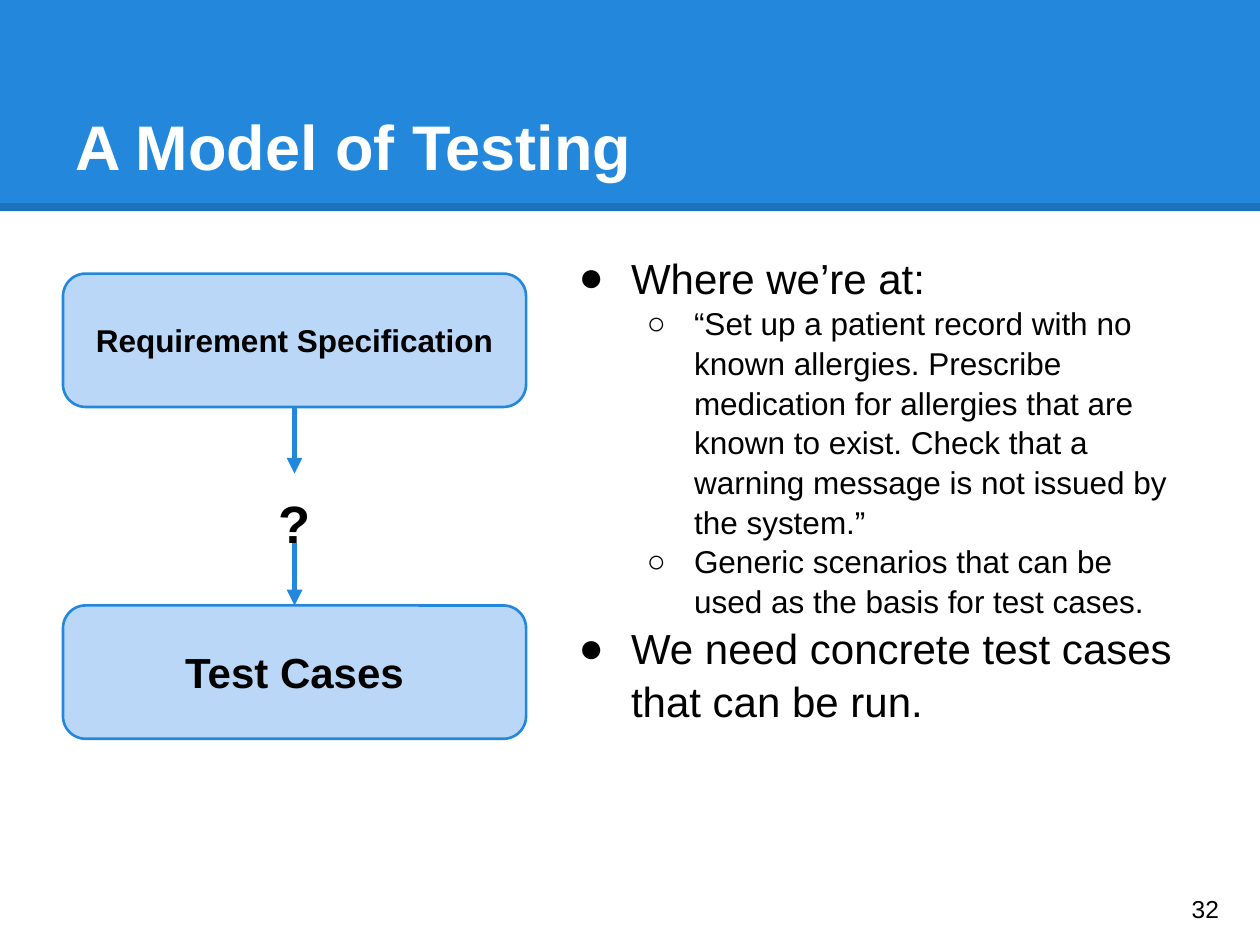
from dataclasses import dataclass
from typing import Optional

from lxml import etree
from pptx import Presentation
from pptx import util as u
from pptx.dml.color import RGBColor
from pptx.enum import shapes, text
from pptx.oxml.ns import qn


@dataclass(frozen=True)
class Theme:
    font: str = "Arial"
    blue: str = "2388DB"
    pale: str = "BBD7F8"
    ink: str = "000000"
    white: str = "FFFFFF"
    title: float = 36
    symbol: float = 30
    large: float = 24
    body: float = 18
    number: float = 14


@dataclass(frozen=True)
class Box:
    x: float
    y: float
    w: float
    h: float


@dataclass(frozen=True)
class Para:
    words: str
    size: float
    bold: bool = False
    color: str = "000000"
    align: text.PP_ALIGN = text.PP_ALIGN.LEFT
    level: int = 0
    bullet: Optional[str] = None
    spacing: float = 1.0


T = Theme()
TOP, MID, BOTTOM = (text.MSO_ANCHOR.TOP, text.MSO_ANCHOR.MIDDLE,
                    text.MSO_ANCHOR.BOTTOM)
CENTER = text.PP_ALIGN.CENTER


def rgb(value: str) -> RGBColor:
    return RGBColor.from_string(value)


def write(sp, paras: list[Para], anchor=TOP) -> None:
    tf = sp.text_frame
    tf.word_wrap = True
    tf.vertical_anchor = anchor
    tf.margin_left = tf.margin_right = u.Pt(7.2)
    tf.margin_top = tf.margin_bottom = u.Pt(7.2)
    for i, para in enumerate(paras):
        p = tf.add_paragraph() if i else tf.paragraphs[0]
        p.alignment = para.align
        p.level = para.level
        p.line_spacing = para.spacing
        if para.bullet:
            ppr = p._p.get_or_add_pPr()
            ppr.set("marL", str(u.Pt(36 * (para.level + 1))))
            ppr.set("indent", str(u.Pt(-27 if para.level else -30)))
            etree.SubElement(ppr, qn("a:buFont"), typeface=T.font)
            etree.SubElement(ppr, qn("a:buChar"), char=para.bullet)
        r = p.add_run()
        r.text = para.words
        r.font.name = T.font
        r.font.size = u.Pt(para.size)
        r.font.bold = para.bold
        r.font.color.rgb = rgb(para.color)


def add_text(s, box: Box, paras: list[Para], anchor=TOP) -> None:
    sp = s.shapes.add_textbox(u.Pt(box.x), u.Pt(box.y), u.Pt(box.w), u.Pt(box.h))
    write(sp, paras, anchor)


def add_block(s, kind, box: Box, fill: str, line: Optional[str] = None):
    sp = s.shapes.add_shape(kind, u.Pt(box.x), u.Pt(box.y), u.Pt(box.w), u.Pt(box.h))
    sp.shadow.inherit = False
    sp.fill.solid()
    sp.fill.fore_color.rgb = rgb(fill)
    if line:
        sp.line.color.rgb = rgb(line)
        sp.line.width = u.Pt(1.5)
    else:
        sp.line.fill.background()
    return sp


def add_line(s, x1: float, y1: float, x2: float, y2: float, color: str,
             width: float, arrow: bool = False, alpha: Optional[int] = None) -> None:
    cx = s.shapes.add_connector(shapes.MSO_CONNECTOR.STRAIGHT,
                                u.Pt(x1), u.Pt(y1), u.Pt(x2), u.Pt(y2))
    cx.line.color.rgb = rgb(color)
    cx.line.width = u.Pt(width)
    ln = cx.line._get_or_add_ln()
    if alpha is not None:
        clr = ln.find(".//" + qn("a:srgbClr"))
        etree.SubElement(clr, qn("a:alpha"), val=str(alpha * 1000))
    if arrow:
        etree.SubElement(ln, qn("a:tailEnd"), type="triangle")
    etree.SubElement(cx._element.spPr, qn("a:effectLst"))


def main() -> None:
    prs = Presentation()
    prs.slide_width, prs.slide_height = u.Pt(720), u.Pt(540)
    s = prs.slides.add_slide(prs.slide_layouts[6])

    add_block(s, shapes.MSO_SHAPE.RECTANGLE, Box(0, 0, 720, 120.6), T.blue)
    add_line(s, 0, 118.3, 720, 118.3, T.ink, 4.5, alpha=15)
    add_text(s, Box(36, 21.6, 648, 90),
             [Para("A Model of Testing", T.title, True, T.white)], BOTTOM)

    stages = [(Box(36, 156.4, 264.6, 76.2), "Requirement Specification", T.body),
              (Box(36, 346, 264.6, 76.2), "Test Cases", T.large)]
    for box, label, size in stages:
        sp = add_block(s, shapes.MSO_SHAPE.ROUNDED_RECTANGLE, box, T.pale, T.blue)
        sp.adjustments[0] = 0.17
        write(sp, [Para(label, size, True, align=CENTER)], MID)

    first, last = stages[0][0], stages[1][0]
    axis = first.x + first.w / 2
    for start, end in [(first.y + first.h, 270.6), (310.3, last.y)]:
        add_line(s, axis, start, axis, end, T.blue, 3, arrow=True)

    add_text(s, Box(317.5, 135.4, 366.5, 361.4), [
        Para("Where we’re at:", T.large, bullet="●", spacing=1.05),
        Para("“Set up a patient record with no known allergies. Prescribe "
             "medication for allergies that are known to exist. Check that a "
             "warning message is not issued by the system.”",
             T.body, level=1, bullet="○", spacing=1.05),
        Para("Generic scenarios that can be used as the basis for test cases.",
             T.body, level=1, bullet="○", spacing=1.05),
        Para("We need concrete test cases that can be run.", T.large,
             bullet="●", spacing=1.05),
    ])
    add_text(s, Box(144.7, 270, 46.8, 38.2),
             [Para("?", T.symbol, True, align=CENTER, spacing=1.1)])
    add_text(s, Box(673.9, 499, 43.2, 41), [Para("32", T.number)], MID)

    prs.save("out.pptx")


if __name__ == "__main__":
    main()
